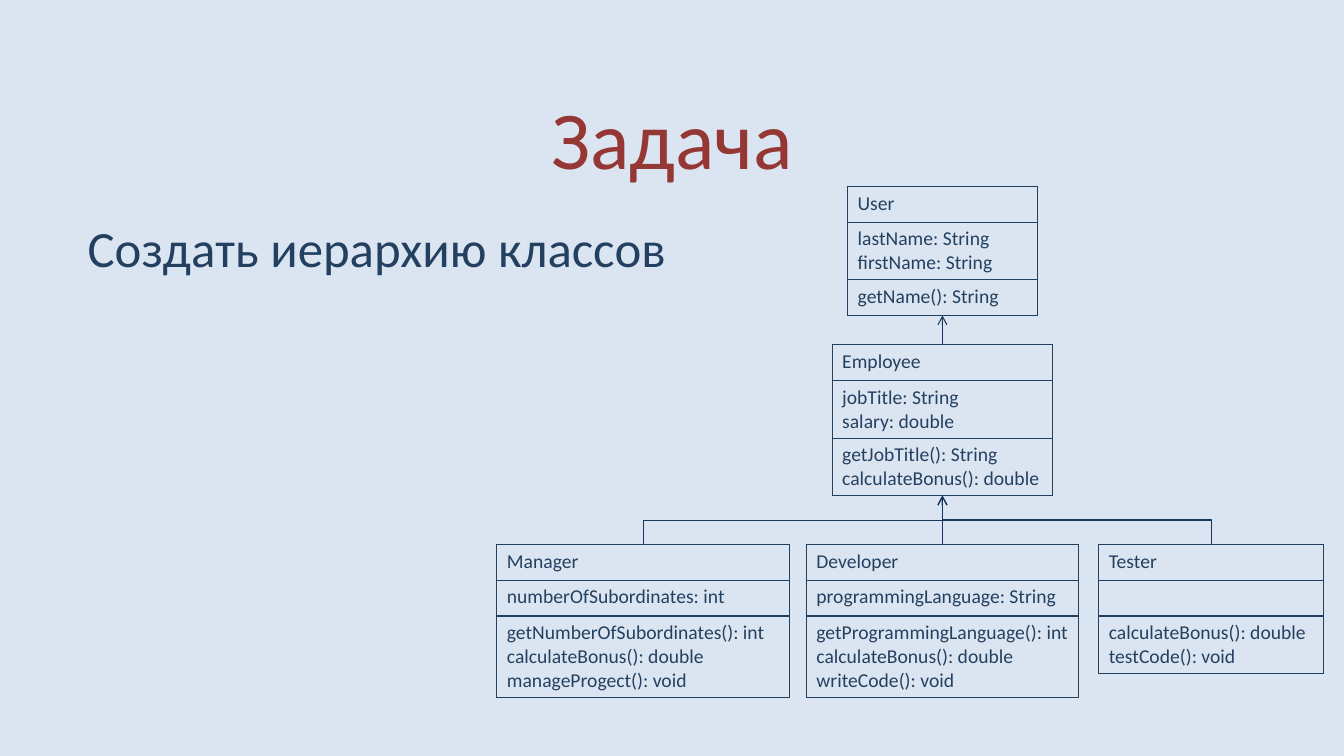
from dataclasses import dataclass

from lxml.etree import SubElement
from pptx import Presentation
from pptx.dml.color import RGBColor
from pptx.enum.shapes import MSO_CONNECTOR
from pptx.enum.text import MSO_ANCHOR, PP_ALIGN
from pptx.oxml.ns import qn
from pptx.util import Cm, Pt


@dataclass(frozen=True)
class Theme:
    face: str = "Calibri"
    back: str = "DBE5F1"
    head: str = "953734"
    ink: str = "244061"
    link: str = "17365D"
    title: float = 58.7
    body: float = 36.3
    cell: float = 14
    edge: float = 1
    wire: float = 0.75


@dataclass(frozen=True)
class Box:
    left: float
    top: float
    width: float
    height: float = 0

    @property
    def mid(self):
        return self.left + self.width / 2

    @property
    def base(self):
        return self.top + self.height


THEME = Theme()
LINE, PAD, LEAST = 0.6, 0.25, 0.9

# Class name, fields, methods
USER = ("User", "lastName: String\nfirstName: String", "getName(): String")
STAFF = ("Employee", "jobTitle: String\nsalary: double",
         "getJobTitle(): String\ncalculateBonus(): double")
HEIRS = [
    (Box(12.52, 13.72, 7.37),
     ("Manager", "numberOfSubordinates: int",
      "getNumberOfSubordinates(): int\ncalculateBonus(): double\n"
      "manageProgect(): void")),
    (Box(20.32, 13.72, 6.86),
     ("Developer", "programmingLanguage: String",
      "getProgrammingLanguage(): int\ncalculateBonus(): double\n"
      "writeCode(): void")),
    (Box(27.69, 13.72, 5.66),
     ("Tester", "", "calculateBonus(): double\ntestCode(): void")),
]


def style(font, size, color):
    form = {"name": THEME.face, "size": Pt(size), "bold": False}
    for key, value in form.items():
        setattr(font, key, value)
    font.color.rgb = RGBColor.from_string(color)


def label(slide, box, text, size, color, **form):
    """Place one line of text; form holds frame and paragraph alignment."""
    shape = slide.shapes.add_textbox(
        Cm(box.left), Cm(box.top), Cm(box.width), Cm(box.height))
    frame = shape.text_frame
    frame.word_wrap = True
    frame.vertical_anchor = form.get("anchor", MSO_ANCHOR.TOP)
    para = frame.paragraphs[0]
    para.text = text
    para.alignment = form.get("align", PP_ALIGN.LEFT)
    style(para.font, size, color)


def border(cell):
    props = cell._tc.get_or_add_tcPr()
    for side in ("lnL", "lnR", "lnT", "lnB"):
        line = SubElement(props, qn(f"a:{side}"), w=str(Pt(THEME.edge)))
        fill = SubElement(line, qn("a:solidFill"))
        SubElement(fill, qn("a:srgbClr"), val=THEME.ink)


def card(slide, box, parts):
    """Draw a class as a table and return the box it fills."""
    tall = [max(LEAST, 2 * PAD / 2 + LINE * (part.count("\n") + 1))
            for part in parts]
    full = Box(box.left, box.top, box.width, sum(tall))
    table = slide.shapes.add_table(
        len(parts), 1, Cm(full.left), Cm(full.top),
        Cm(full.width), Cm(full.height)).table
    for flag in ("first_row", "horz_banding"):
        setattr(table, flag, False)
    for row, part, height in zip(table.rows, parts, tall):
        row.height = Cm(height)
        cell = row.cells[0]
        cell.text = part
        for para in cell.text_frame.paragraphs:
            style(para.font, THEME.cell, THEME.ink)
        border(cell)
        cell.fill.background()
    return full


def arrow(slide, child, parent):
    """Link the top of child to the base of parent, bent when they are offset."""
    run, rise = parent.mid - child.mid, child.top - parent.base
    bent = abs(run) > 0.05
    x, y = (child.mid + parent.mid) / 2, (child.top + parent.base) / 2
    if bent:
        # Laid out sideways, then turned a quarter to the left
        ends = (x - rise / 2, y - run / 2, x + rise / 2, y + run / 2)
        kind = MSO_CONNECTOR.ELBOW
    else:
        ends = (x, child.top, x, parent.base)
        kind = MSO_CONNECTOR.STRAIGHT
    link = slide.shapes.add_connector(kind, *map(Cm, ends))
    link.line.width = Pt(THEME.wire)
    link.line.color.rgb = RGBColor.from_string(THEME.link)
    props = link._element.spPr
    if bent:
        props.find(qn("a:xfrm")).set("rot", str(270 * 60000))
    SubElement(props.find(qn("a:ln")), qn("a:tailEnd"), type="arrow")
    SubElement(props, qn("a:effectLst"))


def tree(slide, box):
    """Draw the class hierarchy, its root centred in the top of box."""
    user = card(slide, Box(box.mid - 2.39, box.top, 4.78), USER)
    staff = card(slide, Box(box.mid - 2.78, box.top + 3.99, 5.56), STAFF)
    heirs = [card(slide, spot, parts) for spot, parts in HEIRS]
    for heir in heirs:
        arrow(slide, heir, staff)
    arrow(slide, staff, user)


def main():
    deck = Presentation()
    deck.slide_width, deck.slide_height = Cm(33.87), Cm(19.05)
    slide = deck.slides.add_slide(deck.slide_layouts[6])
    fill = slide.background.fill
    fill.solid()
    fill.fore_color.rgb = RGBColor.from_string(THEME.back)
    label(slide, Box(1.69, 1.85, 30.48, 3.18), "Задача", THEME.title,
          THEME.head, anchor=MSO_ANCHOR.MIDDLE, align=PP_ALIGN.CENTER)
    label(slide, Box(1.96, 5.33, 15.9, 1.9), "Создать иерархию классов",
          THEME.body, THEME.ink)
    tree(slide, Box(14.15, 4.7, 19.2))
    deck.save("out.pptx")


if __name__ == "__main__":
    main()
